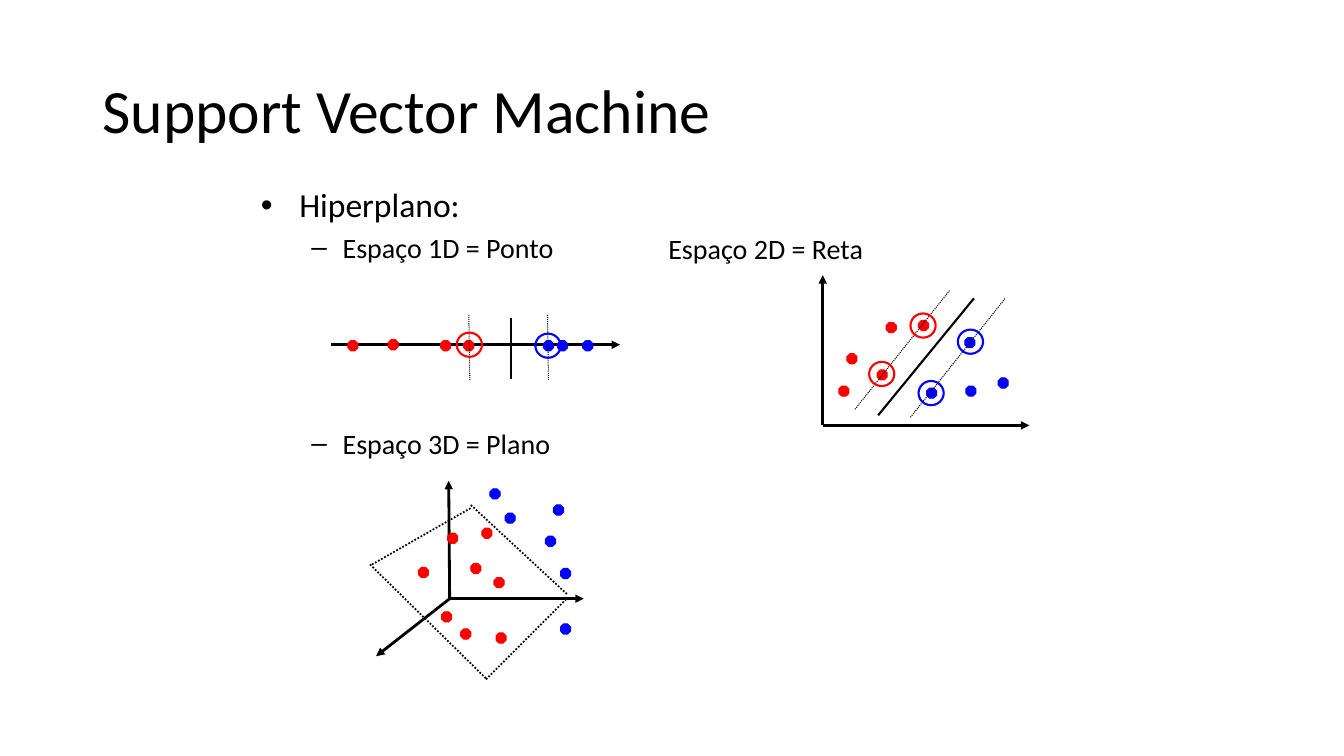
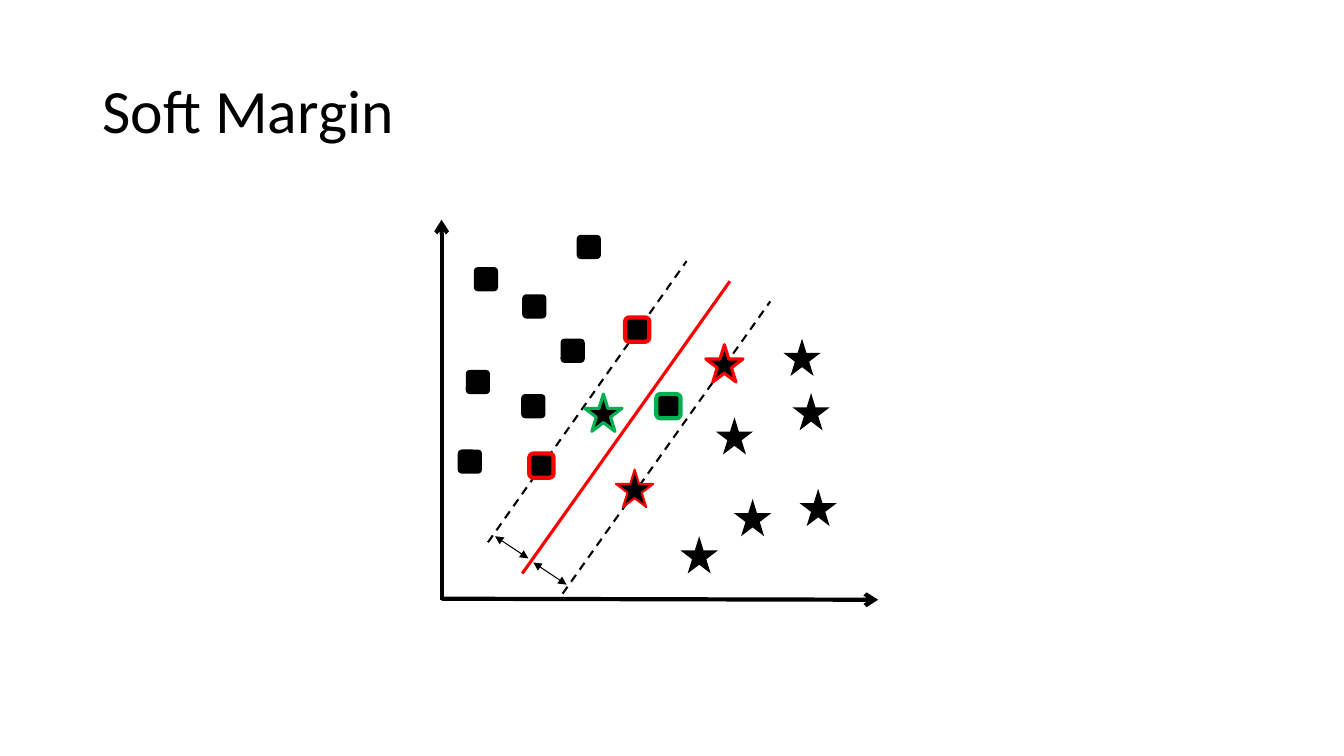
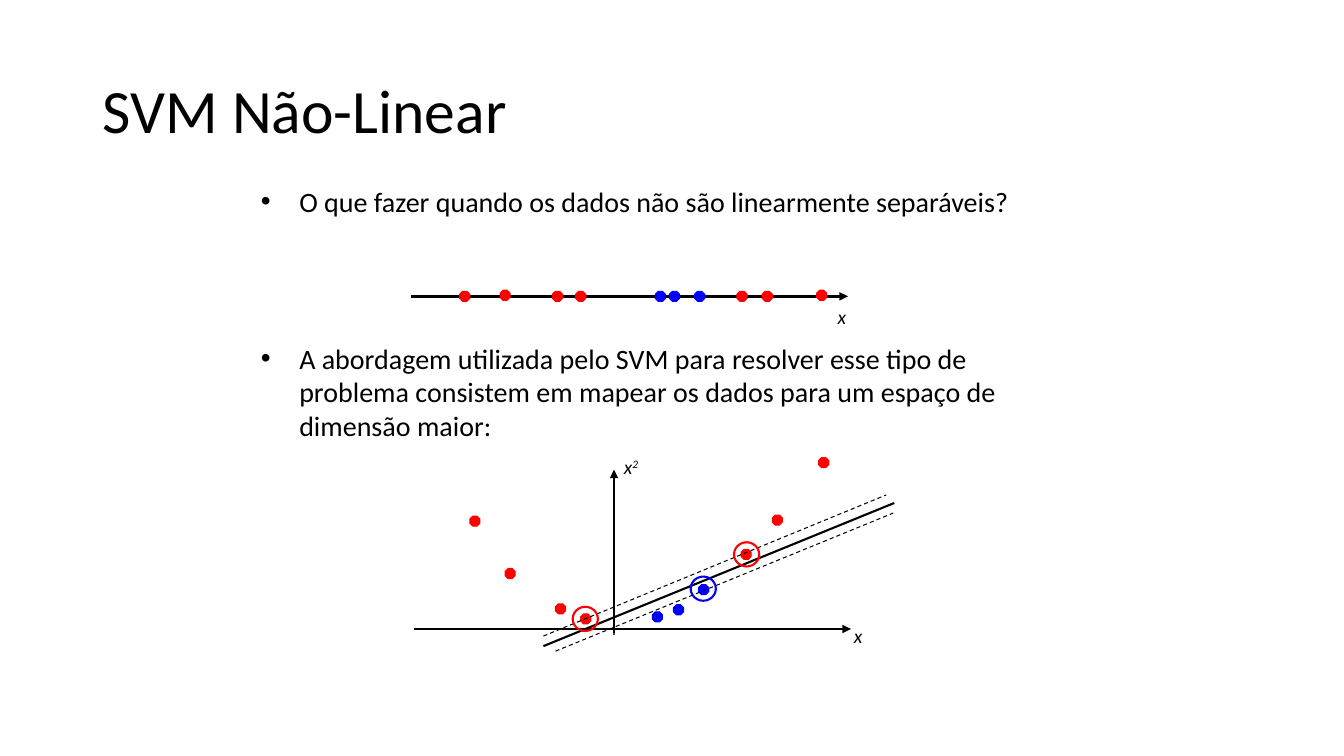
import pptx
import pptx.dml.color
import pptx.enum.dml
import pptx.enum.shapes
import pptx.enum.text
import pptx.oxml.ns
import pptx.util
from lxml import etree

Inches, Pt = pptx.util.Inches, pptx.util.Pt
SHAPE = pptx.enum.shapes.MSO_SHAPE
DASH = pptx.enum.dml.MSO_LINE.DASH
DOTTED = pptx.enum.dml.MSO_LINE.ROUND_DOT
qn = pptx.oxml.ns.qn

COLORS = {"black": "000000", "red": "FF0000", "blue": "0000FF",
          "green": "00B050", "slate": "44546A"}
FONT = "Calibri"
BODY_BOX = (2.49, 1.78, 8.27, 4.49)
DOT, RING = (0.1, 0.1), (0.25, 0.24)
STAR, SQUARE = (0.37, 0.37), (0.24, 0.24)
# bullet character, left margin, hanging indent
LEVELS = [("•", 0.38, -0.38), ("–", 0.81, -0.31)]

# Body paragraphs: level, size, space before, text
HYPERPLANE_BODY = [
    (0, 24, 0, "Hiperplano:"),
    (1, 20, 4, "Espaço 1D = Ponto"),
    (1, 20, 116, "Espaço 3D = Plano"),
]
NONLINEAR_BODY = [
    (0, 20, 0, "O que fazer quando os dados não são linearmente separáveis?"),
    (0, 20, 88, "A abordagem utilizada pelo SVM para resolver esse tipo de "
                "problema consistem em mapear os dados para um espaço de "
                "dimensão maior:"),
]

# Diagrams: axes and lines are x1, y1, x2, y2; dots and rings are left, top.
SPACE_1D = {
    "axes": [(3.28, 3.42, 6.15, 3.42)],
    "dots": {"red": [(3.45, 3.38), (3.85, 3.37), (4.37, 3.38), (4.6, 3.38)],
             "blue": [(5.53, 3.38), (5.78, 3.38), (5.39, 3.38)]},
    "rings": {"blue": [(5.31, 3.31)], "red": [(4.53, 3.3)]},
    "lines": [(1.5, None, [(5.07, 3.15, 5.07, 3.76)]),
              (0.75, DOTTED, [(5.44, 3.77, 5.43, 3.12), (4.66, 3.77, 4.65, 3.12)])],
}
SPACE_2D = {
    "axes": [(8.16, 4.22, 10.21, 4.22), (8.16, 4.22, 8.16, 2.73)],
    "dots": {"red": [(9.11, 3.18), (8.32, 3.83), (8.4, 3.51), (8.79, 3.2), (8.7, 3.67)],
             "blue": [(9.58, 3.83), (9.9, 3.75), (9.19, 3.85), (9.57, 3.35)]},
    "rings": {"blue": [(9.11, 3.78), (9.5, 3.27)], "red": [(8.62, 3.59), (9.03, 3.11)]},
    "lines": [(0.75, DOTTED, [(8.48, 4.06, 9.42, 2.88), (9.03, 4.14, 9.97, 2.96)]),
              (1.5, None, [(9.66, 2.96, 8.71, 4.12)])],
}
SPACE_3D = {
    "axes": [(4.46, 5.95, 4.45, 4.77), (4.45, 5.94, 5.79, 5.94), (4.46, 5.94, 3.73, 6.51)],
    "dots": {"red": [(4.78, 5.24), (4.15, 5.63), (4.57, 6.24), (4.44, 5.29), (4.67, 5.59),
                     (4.92, 6.28), (4.9, 5.73), (4.38, 6.07)],
             "blue": [(5.56, 5.64), (5.49, 5.01), (5.41, 5.32), (5.56, 6.19),
                      (4.86, 4.85), (5.01, 5.09)]},
    "rings": {},
    "lines": [(1.25, DOTTED, [(4.67, 5.01, 5.63, 5.9), (4.82, 6.74, 5.63, 5.93),
                              (3.69, 5.6, 4.67, 5.04), (3.67, 5.6, 4.82, 6.73)])],
}
INPUT_SPACE = {
    "axes": [(4.08, 2.94, 8.41, 2.94)],
    "dots": {"red": [(4.56, 2.89), (4.96, 2.88), (5.48, 2.89), (5.71, 2.89),
                     (7.31, 2.89), (7.56, 2.89), (8.1, 2.88)],
             "blue": [(6.64, 2.89), (6.89, 2.89), (6.5, 2.89)]},
    "rings": {},
    "lines": [],
}
MAPPED_SPACE = {
    "axes": [(4.11, 6.24, 8.44, 6.24), (6.09, 6.28, 6.09, 4.66)],
    "dots": {"red": [(4.66, 5.12), (5.01, 5.64), (5.51, 5.99), (5.76, 6.09),
                     (7.35, 5.45), (7.66, 5.11), (8.12, 4.54)],
             "blue": [(6.68, 6), (6.93, 5.8), (6.47, 6.07)]},
    "rings": {"red": [(7.28, 5.38), (5.68, 6.02)], "blue": [(6.85, 5.72)]},
    "lines": [(1.5, None, [(5.39, 6.41, 8.87, 4.99)]),
              (0.75, DASH, [(5.39, 6.31, 8.79, 4.91), (5.51, 6.46, 8.86, 5.09)])],
}
# Axis labels: left, top, base, exponent
AXIS_LABELS = [(8.21, 2.98, "x", ""), (6.09, 4.46, "x", "2"), (8.37, 6.14, "x", "")]

# Soft margin markers: shape, size, outline colour, outline width, corners
SOFT_MARGIN_MARKERS = [
    (SHAPE.ROUNDED_RECTANGLE, SQUARE, None, 0,
     [(4.62, 3.67), (5.18, 2.92), (5.56, 3.36), (5.17, 3.91), (5.72, 2.33),
      (4.7, 2.65), (4.54, 4.46)]),
    (SHAPE.ROUNDED_RECTANGLE, SQUARE, "red", 3, [(5.25, 4.5), (6.2, 3.15)]),
    (SHAPE.ROUNDED_RECTANGLE, SQUARE, "green", 3, [(6.51, 3.91)]),
    (SHAPE.STAR_5_POINT, STAR, None, 0,
     [(7.1, 4.14), (7.28, 4.95), (7.86, 3.9), (7.93, 4.85), (6.75, 5.32), (7.77, 3.36)]),
    (SHAPE.STAR_5_POINT, STAR, "red", 1.5, [(6.11, 4.66)]),
    (SHAPE.STAR_5_POINT, STAR, "red", 2.25, [(7, 3.42)]),
    (SHAPE.STAR_5_POINT, STAR, "green", 2.25, [(5.8, 3.91)]),
]
MARGIN_EDGES = [(4.84, 5.38, 6.81, 2.59), (5.58, 5.89, 7.64, 2.99)]
SEPARATOR = (5.18, 5.69, 7.24, 2.79)
MARGIN_WIDTHS = [(5.24, 5.54, 4.91, 5.32), (5.62, 5.8, 5.29, 5.58)]
SOFT_MARGIN_AXES = [(4.38, 5.95, 4.38, 2.18), (4.38, 5.94, 8.71, 5.95)]


def rgb(name):
    return pptx.dml.color.RGBColor.from_string(COLORS[name])


def add_line(s, ends, width, color="black", dash=None, head=None, tail=None):
    c = s.shapes.add_connector(pptx.enum.shapes.MSO_CONNECTOR.STRAIGHT,
                               *[Inches(v) for v in ends])
    c.line.color.rgb = rgb(color)
    c.line.width = Pt(width)
    if dash:
        c.line.dash_style = dash
    ln = c.line._get_or_add_ln()
    for tag, kind in (("a:headEnd", head), ("a:tailEnd", tail)):
        if kind:
            etree.SubElement(ln, qn(tag), type=kind)
    etree.SubElement(c._element.spPr, qn("a:effectLst"))


def add_marker(s, kind, corner, size, fill=None, outline=None, width=0.75):
    sp = s.shapes.add_shape(kind, *[Inches(v) for v in (*corner, *size)])
    sp.shadow.inherit = False
    if fill:
        sp.fill.solid()
        sp.fill.fore_color.rgb = rgb(fill)
    else:
        sp.fill.background()
    if outline:
        sp.line.color.rgb = rgb(outline)
        sp.line.width = Pt(width)
    else:
        sp.line.fill.background()


def add_box(s, box):
    tf = s.shapes.add_textbox(*[Inches(v) for v in box]).text_frame
    tf.word_wrap = True
    return tf


def add_run(p, text, size, italic=False):
    r = p.add_run()
    r.text = text
    r.font.name = FONT
    r.font.size = Pt(size)
    r.font.italic = italic
    r.font.color.rgb = rgb("black")
    return r


def new_slide(prs, title):
    s = prs.slides.add_slide(prs.slide_layouts[6])
    tf = add_box(s, (0.92, 0.4, 11.5, 1.45))
    tf.vertical_anchor = pptx.enum.text.MSO_ANCHOR.MIDDLE
    p = tf.paragraphs[0]
    p.line_spacing = 0.9
    add_run(p, title, 44)
    return s


def add_body(s, paragraphs):
    tf = add_box(s, BODY_BOX)
    for i, (level, size, before, text) in enumerate(paragraphs):
        p = tf.add_paragraph() if i else tf.paragraphs[0]
        char, margin, indent = LEVELS[level]
        p.level = level
        pPr = p._p.get_or_add_pPr()
        pPr.set("marL", str(Inches(margin)))
        pPr.set("indent", str(Inches(indent)))
        etree.SubElement(pPr, qn("a:buFont"), typeface="Arial")
        etree.SubElement(pPr, qn("a:buChar"), char=char)
        if before:
            p.space_before = Pt(before)
        add_run(p, text, size)


def add_diagram(s, diagram):
    for ends in diagram["axes"]:
        add_line(s, ends, 2, tail="triangle")
    for color, corners in diagram["dots"].items():
        for corner in corners:
            add_marker(s, SHAPE.OCTAGON, corner, DOT, color, color)
    for width, dash, lines in diagram["lines"]:
        for ends in lines:
            add_line(s, ends, width, dash=dash)
    for color, corners in diagram["rings"].items():
        for corner in corners:
            add_marker(s, SHAPE.OVAL, corner, RING, outline=color, width=1.5)


def hyperplane_slide(prs):
    s = new_slide(prs, "Support Vector Machine")
    add_body(s, HYPERPLANE_BODY)
    add_run(add_box(s, (6.53, 2.25, 2.6, 0.44)).paragraphs[0], "Espaço 2D = Reta", 20)
    for diagram in (SPACE_1D, SPACE_2D, SPACE_3D):
        add_diagram(s, diagram)


def soft_margin_slide(prs):
    s = new_slide(prs, "Soft Margin")
    for ends in MARGIN_EDGES:
        add_line(s, ends, 1.5, dash=DASH)
    for kind, size, outline, width, corners in SOFT_MARGIN_MARKERS:
        for corner in corners:
            add_marker(s, kind, corner, size, "black", outline, width)
    add_line(s, SEPARATOR, 2.25, "red")
    for ends in MARGIN_WIDTHS:
        add_line(s, ends, 0.75, head="triangle", tail="triangle")
    for ends in SOFT_MARGIN_AXES:
        add_line(s, ends, 3, tail="arrow")


def nonlinear_slide(prs):
    s = new_slide(prs, "SVM Não-Linear")
    add_body(s, NONLINEAR_BODY)
    add_diagram(s, INPUT_SPACE)
    add_line(s, (6.09, 6.18, 6.09, 6.3), 0.75, "slate")
    add_diagram(s, MAPPED_SPACE)
    for left, top, base, exponent in AXIS_LABELS:
        p = add_box(s, (left, top, 0.5, 0.34)).paragraphs[0]
        add_run(p, base, 14, italic=True)
        if exponent:
            r = add_run(p, exponent, 14, italic=True)
            r.font._element.set("baseline", "30000")


def main():
    prs = pptx.Presentation()
    prs.slide_width, prs.slide_height = Inches(13.33), Inches(7.5)
    hyperplane_slide(prs)
    soft_margin_slide(prs)
    nonlinear_slide(prs)
    prs.save("out.pptx")


if __name__ == "__main__":
    main()
